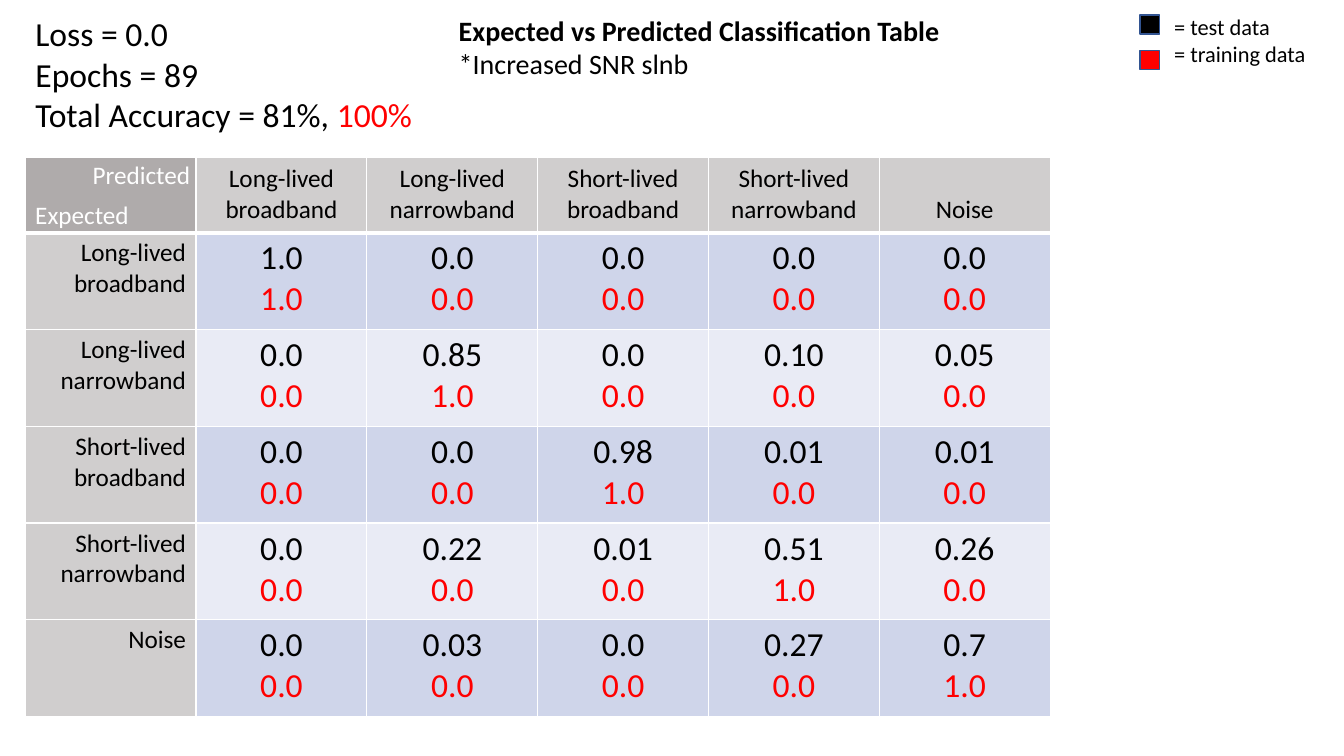
import pptx
import pptx.util
import pptx.dml.color
import pptx.enum.shapes
import pptx.enum.text
import pptx.oxml
import pptx.oxml.ns

RGBColor = pptx.dml.color.RGBColor
BLACK = RGBColor(0x00, 0x00, 0x00)
RED = RGBColor(0xFF, 0x00, 0x00)
WHITE = RGBColor(0xFF, 0xFF, 0xFF)
CORNER_GRAY = RGBColor(0xAF, 0xAB, 0xAB)
HEADER_GRAY = RGBColor(0xD0, 0xCE, 0xCE)
BAND_DARK = RGBColor(0xCF, 0xD5, 0xEA)
BAND_LIGHT = RGBColor(0xE9, 0xEB, 0xF5)
SWATCH_LINE = RGBColor(0x32, 0x54, 0x91)

LEFT = pptx.enum.text.PP_ALIGN.LEFT
CENTER = pptx.enum.text.PP_ALIGN.CENTER
RIGHT = pptx.enum.text.PP_ALIGN.RIGHT
TOP = pptx.enum.text.MSO_ANCHOR.TOP
BOTTOM = pptx.enum.text.MSO_ANCHOR.BOTTOM

SLIDE_WIDTH = pptx.util.Inches(13.33)
SLIDE_HEIGHT = pptx.util.Inches(7.5)
COLUMN_SHARE, HEADER_SHARE, ROW_SHARE = 12.71, 10, 12.8

CLASSES = [
    ("Long-lived", "broadband"),
    ("Long-lived", "narrowband"),
    ("Short-lived", "broadband"),
    ("Short-lived", "narrowband"),
    ("Noise",),
]
TEST_SCORES = [
    ["1.0", "0.0", "0.0", "0.0", "0.0"],
    ["0.0", "0.85", "0.0", "0.10", "0.05"],
    ["0.0", "0.0", "0.98", "0.01", "0.01"],
    ["0.0", "0.22", "0.01", "0.51", "0.26"],
    ["0.0", "0.03", "0.0", "0.27", "0.7"],
]


def across(percent):
    """Return a percentage of the slide width."""
    return int(SLIDE_WIDTH * percent / 100)


def down(percent):
    """Return a percentage of the slide height."""
    return int(SLIDE_HEIGHT * percent / 100)


def box(left, top, width, height):
    """Return a position and size from percentages of the slide."""
    return across(left), down(top), across(width), down(height)


def set_format(target, values):
    """Set each named format value on the target."""
    for name, value in values.items():
        setattr(target, name, value)


def write_lines(text_frame, lines, size, align=LEFT):
    """Write paragraphs, each a list of (text, color, bold) runs."""
    for index, runs in enumerate(lines):
        paragraph = text_frame.paragraphs[0] if index == 0 else text_frame.add_paragraph()
        set_format(paragraph, {"alignment": align, "space_before": pptx.util.Pt(0)})
        for text, color, bold in runs:
            run = paragraph.add_run()
            run.text = text
            set_format(run.font, {"name": "Calibri", "size": pptx.util.Pt(size), "bold": bold})
            run.font.color.rgb = color


def fill_text_shape(shape, area, lines, size):
    """Place a text shape and write its lines."""
    set_format(shape, dict(zip(("left", "top", "width", "height"), area)))
    set_format(shape.text_frame, {
        "word_wrap": True,
        "vertical_anchor": TOP,
        "auto_size": pptx.enum.text.MSO_AUTO_SIZE.NONE,
    })
    write_lines(shape.text_frame, lines, size)


def remove_bullets(shape):
    """Turn off bullets and indents in a body placeholder."""
    for paragraph in shape.text_frame.paragraphs:
        properties = paragraph._p.get_or_add_pPr()
        properties.set("marL", "0")
        properties.set("indent", "0")
        properties.append(pptx.oxml.parse_xml(
            f'<a:buNone {pptx.oxml.ns.nsdecls("a")}/>'))


def add_label(slide, area, lines, size):
    """Add a free text box."""
    fill_text_shape(slide.shapes.add_textbox(*area), area, lines, size)


def add_swatch(slide, top, color):
    """Add a legend square."""
    swatch = slide.shapes.add_shape(
        pptx.enum.shapes.MSO_SHAPE.RECTANGLE, *box(84.83, top, 1.43, 2.53))
    swatch.shadow.inherit = False
    swatch.fill.solid()
    swatch.fill.fore_color.rgb = color
    swatch.line.color.rgb = SWATCH_LINE
    swatch.line.width = pptx.util.Pt(1)


def style_cell(cell, color, widths):
    """Give a cell white borders, in points by side, and a solid fill."""
    properties = cell._tc.get_or_add_tcPr()
    for side, width in widths.items():
        properties.append(pptx.oxml.parse_xml(
            f'<a:ln{side} {pptx.oxml.ns.nsdecls("a")} w="{pptx.util.Pt(width)}">'
            f'<a:solidFill><a:srgbClr val="{WHITE}"/></a:solidFill></a:ln{side}>'))
    cell.fill.solid()
    cell.fill.fore_color.rgb = color


def class_lines(names):
    """Return the lines of a class name."""
    return [[(name, BLACK, False)] for name in names]


def fill_cell(cell, row, column):
    """Fill one cell of the classification table."""
    header = row == 0
    if header and column == 0:
        color = CORNER_GRAY
    elif header or column == 0:
        color = HEADER_GRAY
    else:
        color = BAND_DARK if row % 2 else BAND_LIGHT
    style_cell(cell, color, {"L": 1, "R": 1, "T": 3 if row == 1 else 1, "B": 3 if header else 1})
    if header and column:
        set_format(cell, {"vertical_anchor": BOTTOM, "margin_bottom": pptx.util.Inches(0.08)})
        write_lines(cell.text_frame, class_lines(CLASSES[column - 1]), 18, CENTER)
    elif row and column == 0:
        write_lines(cell.text_frame, class_lines(CLASSES[row - 1]), 18, RIGHT)
    elif row:
        training = "1.0" if row == column else "0.0"
        scores = [[(TEST_SCORES[row - 1][column - 1], BLACK, False)], [(training, RED, False)]]
        write_lines(cell.text_frame, scores, 24, CENTER)


def add_classification_table(slide):
    """Add the table of expected against predicted classes."""
    count = len(CLASSES) + 1
    area = box(1.88, 20.8, COLUMN_SHARE * count, HEADER_SHARE + ROW_SHARE * len(CLASSES))
    table = slide.shapes.add_table(count, count, *area).table
    for index in range(count):
        table.columns[index].width = across(COLUMN_SHARE)
        table.rows[index].height = down(ROW_SHARE if index else HEADER_SHARE)
        for column in range(count):
            fill_cell(table.cell(index, column), index, column)


def main():
    """Build the slide and save it."""
    presentation = pptx.Presentation()
    set_format(presentation, {"slide_width": SLIDE_WIDTH, "slide_height": SLIDE_HEIGHT})
    slide = presentation.slides.add_slide(presentation.slide_layouts[1])
    fill_text_shape(slide.shapes.title, box(33.38, 1.07, 40.2, 10.27), [
        [("Expected vs Predicted Classification Table", BLACK, True)],
        [("*Increased SNR slnb", BLACK, False)],
    ], 20)
    results = slide.placeholders[1]
    fill_text_shape(results, box(1.88, 1.07, 30.38, 17.47), [
        [("Loss = 0.0", BLACK, False)],
        [("Epochs = 89", BLACK, False)],
        [("Total Accuracy = 81%, ", BLACK, False), ("100%", RED, False)],
    ], 24)
    remove_bullets(results)
    add_classification_table(slide)
    add_swatch(slide, 2, BLACK)
    add_swatch(slide, 6.67, RED)
    add_label(slide, box(86.63, 1.07, 14.7, 8.53), [
        [("= test data", BLACK, False)],
        [("= training data", BLACK, False)],
    ], 16)
    add_label(slide, box(6.15, 20.4, 9.75, 5.33), [[("Predicted", WHITE, False)]], 18)
    add_label(slide, box(1.88, 25.73, 9.75, 5.33), [[("Expected", WHITE, False)]], 18)
    presentation.save("out.pptx")


if __name__ == "__main__":
    main()
